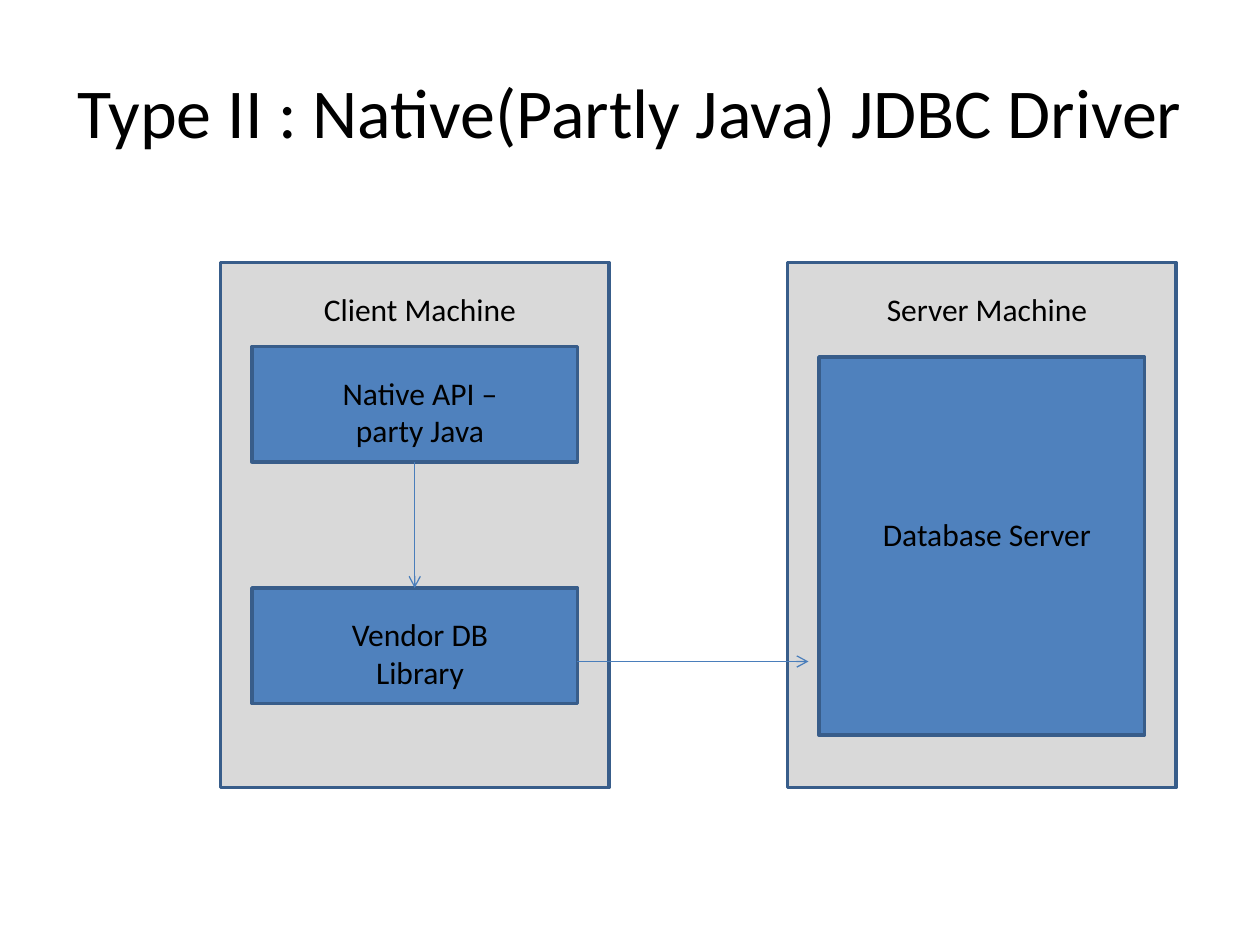
from dataclasses import dataclass

from lxml import etree
from pptx import Presentation
from pptx import util as u
from pptx.dml.color import RGBColor
from pptx.enum import shapes, text
from pptx.oxml.ns import qn
from pptx.slide import Slide

PX = u.Inches(1) // 120

BLACK = RGBColor(0x00, 0x00, 0x00)
GREY = RGBColor(0xD9, 0xD9, 0xD9)
BLUE = RGBColor(0x4F, 0x81, 0xBD)
BORDER = RGBColor(0x38, 0x5D, 0x8A)
ARROW = RGBColor(0x4A, 0x7E, 0xBB)

PANEL_Y, PANEL_W, PANEL_H = 250, 370, 500
BOX_DX, BOX_W = 30, 310
LABEL_DX, LABEL_W, LINE_H = 70, 240, 48
HEADING_Y = 270


@dataclass(frozen=True)
class Box:
    label: str
    y: int
    h: int
    label_y: int
    label_h: int


@dataclass(frozen=True)
class Machine:
    name: str
    x: int
    boxes: tuple[Box, ...]


@dataclass(frozen=True)
class Arrow:
    x1: int
    y1: int
    x2: int
    y2: int


MACHINES = (
    Machine("Client Machine", 210, (
        Box("Native API – party Java", 330, 110, 350, 84),
        Box("Vendor DB Library", 560, 110, 580, 84),
    )),
    Machine("Server Machine", 750, (
        Box("Database Server", 340, 360, 485, LINE_H),
    )),
)
ARROWS = (Arrow(395, 440, 395, 560), Arrow(550, 630, 770, 630))


def add_rect(s: Slide, x: int, y: int, w: int, h: int, fill: RGBColor) -> None:
    sp = s.shapes.add_shape(shapes.MSO_SHAPE.RECTANGLE, x * PX, y * PX, w * PX, h * PX)
    sp.shadow.inherit = False
    sp.fill.solid()
    sp.fill.fore_color.rgb = fill
    sp.line.color.rgb = BORDER
    sp.line.width = u.Pt(2)


def add_text(s: Slide, x: int, y: int, w: int, h: int, content: str, size: int = 18,
             anchor: text.MSO_ANCHOR = text.MSO_ANCHOR.TOP) -> None:
    tf = s.shapes.add_textbox(x * PX, y * PX, w * PX, h * PX).text_frame
    tf.word_wrap = True
    tf.vertical_anchor = anchor
    p = tf.paragraphs[0]
    p.alignment = text.PP_ALIGN.CENTER
    r = p.add_run()
    r.text = content
    r.font.name = "Calibri"
    r.font.size = u.Pt(size)
    r.font.color.rgb = BLACK


def add_machine(s: Slide, m: Machine) -> None:
    add_rect(s, m.x, PANEL_Y, PANEL_W, PANEL_H, GREY)
    add_text(s, m.x + LABEL_DX, HEADING_Y, LABEL_W, LINE_H, m.name)
    for b in m.boxes:
        add_rect(s, m.x + BOX_DX, b.y, BOX_W, b.h, BLUE)
        add_text(s, m.x + LABEL_DX, b.label_y, LABEL_W, b.label_h, b.label)


def add_arrow(s: Slide, a: Arrow) -> None:
    sp = s.shapes.add_connector(shapes.MSO_CONNECTOR.STRAIGHT,
                                a.x1 * PX, a.y1 * PX, a.x2 * PX, a.y2 * PX)
    sp.line.color.rgb = ARROW
    sp.line.width = u.Pt(0.75)
    etree.SubElement(sp.line._get_or_add_ln(), qn("a:tailEnd"), type="arrow")
    etree.SubElement(sp._element.spPr, qn("a:effectLst"))


def main() -> None:
    prs = Presentation()
    prs.slide_width, prs.slide_height = 1200 * PX, 900 * PX
    s = prs.slides.add_slide(prs.slide_layouts[6])
    add_text(s, 60, 30, 1080, 150, "Type II : Native(Partly Java) JDBC Driver",
             40, text.MSO_ANCHOR.MIDDLE)
    for m in MACHINES:
        add_machine(s, m)
    for a in ARROWS:
        add_arrow(s, a)
    prs.save("out.pptx")


if __name__ == "__main__":
    main()
